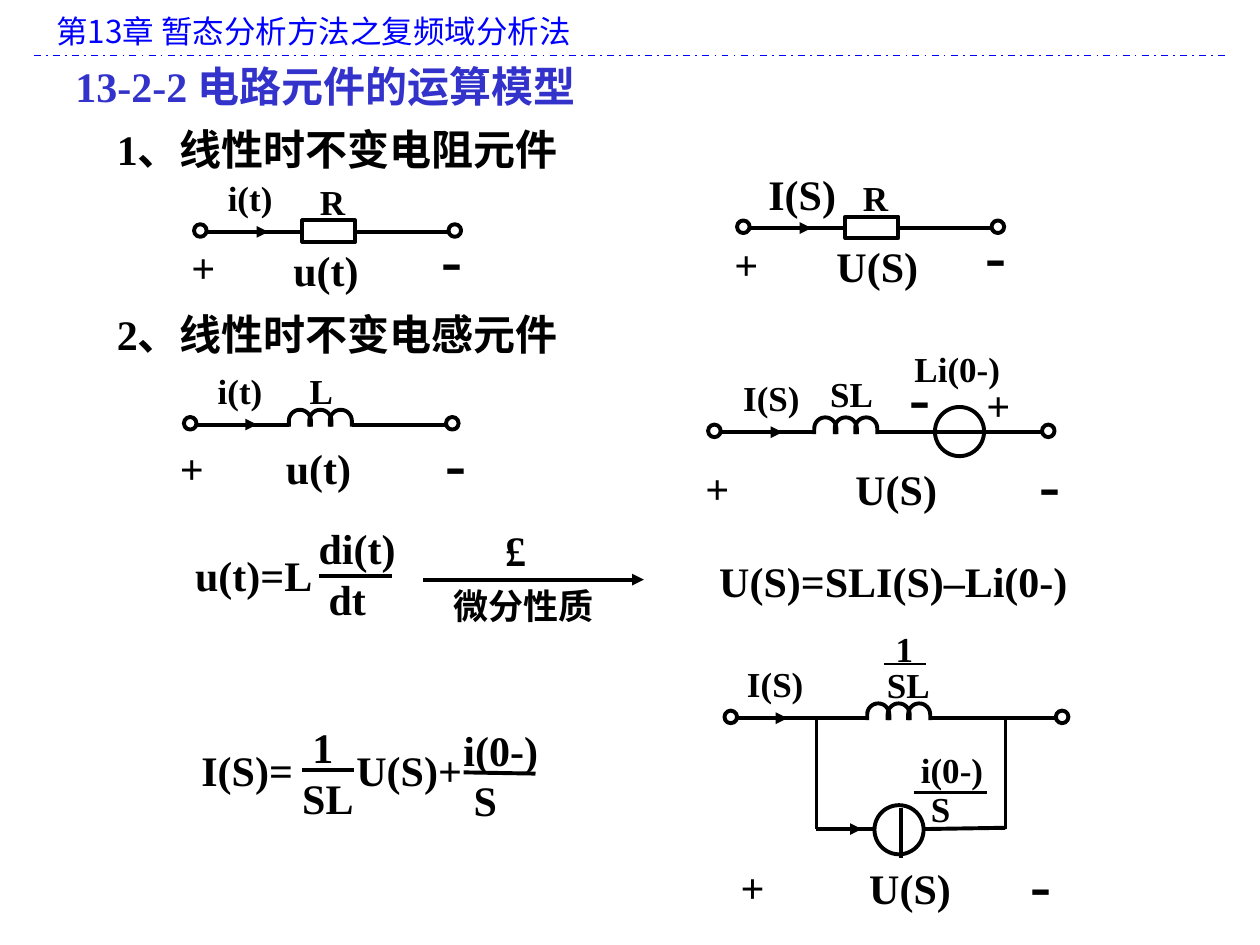
from math import cos, pi, sin

from lxml.etree import SubElement
from pptx import Presentation
from pptx.dml.color import RGBColor as Rgb
from pptx.enum.dml import MSO_LINE as Dash
from pptx.enum.shapes import MSO_CONNECTOR as Link, MSO_SHAPE as Kind
from pptx.enum.text import MSO_AUTO_SIZE as Fit
from pptx.oxml.ns import qn
from pptx.util import Pt

PX = 9144  # 100 px to the inch
HUES = {"ink": "000000", "head": "0000FF", "title": "3333CC"}
ROMAN, HAN = "Times New Roman", "Noto Sans CJK SC"


class Pen:
    def __init__(self, slide):
        self.slide = slide
        self.shapes = slide.shapes

    def hue(self, name):
        return Rgb.from_string(HUES[name])

    def text(self, x, y, w, h, *paras, size=24, wrap=True, hue="ink", bold=True, leads=(0, 0)):
        """Each paragraph is a string or a list of (text, font) runs."""
        box = self.shapes.add_textbox(x * PX, y * PX, w * PX, h * PX)
        frame = box.text_frame
        frame.word_wrap = wrap
        frame.auto_size = Fit.SHAPE_TO_FIT_TEXT
        for i, para in enumerate(paras):
            p = frame.paragraphs[0] if i == 0 else frame.add_paragraph()
            if leads[i]:
                p._p.get_or_add_pPr().set("marL", str(leads[i] * PX))
            for words, face in [(para, ROMAN)] if isinstance(para, str) else para:
                run = p.add_run()
                run.text = words
                font = run.font
                font.size, font.bold, font.name = Pt(size), bold, face
                font.color.rgb = self.hue(hue)
                SubElement(run._r.get_or_add_rPr(), qn("a:ea"), typeface=HAN)

    def label(self, x, y, words, w=100, size=20):
        self.text(x, y, w, 50 if size == 24 else 43, words, size=size)

    def sign(self, x, y, mark):
        size, w, h = (24, 39, 50) if mark == "+" else (36, 37, 70)
        self.text(x, y, w, h, mark, size=size, wrap=False)

    def trim(self, shape):
        shape.shadow.inherit = False
        shape.fill.background()
        shape.line.color.rgb = self.hue("ink")
        shape.line.width = Pt(2.25)

    def shape(self, kind, x, y, w, h):
        self.trim(self.shapes.add_shape(kind, x * PX, y * PX, w * PX, h * PX))

    def ring(self, x, y, size):
        self.shape(Kind.OVAL, x, y, size, size)

    def wire(self, x, y, x2, y2, arrow=False, width=2.25, hue="ink", dash=None):
        link = self.shapes.add_connector(Link.STRAIGHT, x * PX, y * PX, x2 * PX, y2 * PX)
        root = link._element
        root.remove(root.find(qn("p:style")))
        line = link.line
        line.color.rgb = self.hue(hue)
        line.width = Pt(width)
        if dash:
            line.dash_style = dash
        if arrow:
            SubElement(line._get_or_add_ln(), qn("a:tailEnd"), type="triangle")
        SubElement(root.spPr, qn("a:effectLst"))

    def coil(self, x, y):
        """Three arches, each with two short legs ending just under the wire."""
        for i in range(3):
            mid, rad = x + 9 + 16.25 * i, 8.75
            arc = [(mid - rad * cos(pi * k / 16), y - 3 - rad * sin(pi * k / 16))
                   for k in range(17)]
            dots = [(mid - rad, y + 1.5), *arc, (mid + rad, y + 1.5)]
            dots = [(round(a * PX), round(b * PX)) for a, b in dots]
            build = self.shapes.build_freeform(*dots[0], scale=1.0)
            build.add_line_segments(dots[1:], close=False)
            self.trim(build.convert_to_shape())

    def branch(self, x, end, y, gap, arrow):
        """Two terminals, the wires up to the gap and the current arrow."""
        for left in (x, end):
            self.ring(left, y - 6, 10)
        self.wire(x + 9, y, gap[0], y)
        self.wire(gap[1], y, end + 1, y)
        self.wire(arrow, y, arrow + 25, y, arrow=True)

    def resist(self, x, y, volt):
        self.branch(x, x + 202, y, (x + 84, x + 127), x + 34)
        self.shape(Kind.RECTANGLE, x + 86, y - 9, 42, 17)
        self.label(x + 90, y - 46, "R", 52)
        self.sign(x - 12, y + 3, "+")
        self.sign(x + 187, y - 15, "-")
        self.label(x + 69, y + 5, volt, 118, 24)

    def induct(self, x, end, y, start, arrow):
        self.branch(x, end, y, (start, start + 50), arrow)
        self.coil(start, y)

    def ratio(self, x, y, top, low, leads, bar):
        self.text(x, y, 102, 90, top, low, leads=leads)
        self.wire(*bar)


def main():
    deck = Presentation()
    deck.slide_width, deck.slide_height = 1000 * PX, 750 * PX
    pen = Pen(deck.slides.add_slide(deck.slide_layouts[6]))

    pen.text(35, 5, 937, 40, [("第13章 暂态分析方法之复频域分析法", HAN)],
             size=18, hue="head", bold=False)
    pen.wire(27, 44, 972, 44, width=1, hue="head", dash=Dash.DASH_DOT)
    pen.text(50, 43, 627, 50, [("13-2-2 ", ROMAN), ("电路元件的运算模型", HAN)], hue="title")
    for y, num, name in ((93, "1", "电阻"), (240, "2", "电感")):
        pen.text(83, y, 543, 50, [(num, ROMAN), (f"、线性时不变{name}元件", HAN)])

    # Resistor in the time domain and in the s domain
    pen.resist(154, 184, "u(t)")
    pen.label(171, 135, "i(t)", 70)
    pen.resist(585, 181, "U(S)")
    pen.label(600, 129, "I(S)", 85, 24)

    # Inductor in the time domain
    pen.induct(146, 354, 337, 229, 179)
    pen.label(236, 288, "L", 52)
    pen.label(163, 288, "i(t)", 70)
    pen.sign(133, 346, "+")
    pen.sign(344, 331, "-")
    pen.label(217, 346, "u(t)", 118, 24)

    # Inductor with a series voltage source
    pen.induct(562, 827, 343, 646, 596)
    pen.ring(742, 323, 39)
    pen.label(649, 291, "SL")
    pen.label(580, 294, "I(S)", 75)
    pen.label(716, 271, "Li(0-)")
    for x, y, mark in ((550, 362, "+"), (815, 348, "-"), (773, 296, "+"), (712, 279, "-")):
        pen.sign(x, y, mark)
    pen.label(669, 363, "U(S)", 118, 24)

    # Voltage equation and its transform
    pen.label(145, 431, "u(t)=L", 227, 24)
    pen.ratio(243, 410, "di(t)", "dt", (0, 8), (253, 457, 311, 457))
    pen.label(391, 411, "£", 45, 24)
    pen.label(350, 459, "微分性质", 202)
    pen.wire(336, 460, 511, 460, arrow=True)
    pen.label(561, 436, "U(S)=SLI(S)–Li(0-)", 375, 24)

    # Current equation
    pen.label(150, 586, "I(S)=", 100, 24)
    pen.label(273, 586, "U(S)+", 120, 24)
    pen.ratio(230, 568, "1", "SL", (8, 0), (240, 611, 281, 611))
    pen.ratio(358, 570, "i(0-)", "S", (0, 8), (368, 613, 425, 614))

    # Inductor with a parallel current source
    pen.induct(575, 838, 570, 688, 600)
    pen.label(583, 521, "I(S)", 75)
    pen.label(701, 493, "1", 41)
    pen.wire(702, 527, 735, 527, width=0.75)
    pen.label(694, 522, "SL", 65)
    for x in (648, 798):
        pen.wire(x, 570, x, 658)
    pen.wire(648, 658, 694, 658)
    pen.wire(658, 658, 684, 658, arrow=True)
    pen.wire(798, 657, 733, 658)
    pen.ring(694, 639, 39)
    pen.wire(715, 641, 715, 681)
    pen.label(721, 589, "i(0-)", 112)
    pen.wire(725, 629, 783, 629)
    pen.label(729, 620, "S", 77)
    pen.sign(578, 679, "+")
    pen.sign(808, 665, "-")
    pen.label(680, 680, "U(S)", 118, 24)

    deck.save("out.pptx")


if __name__ == "__main__":
    main()
